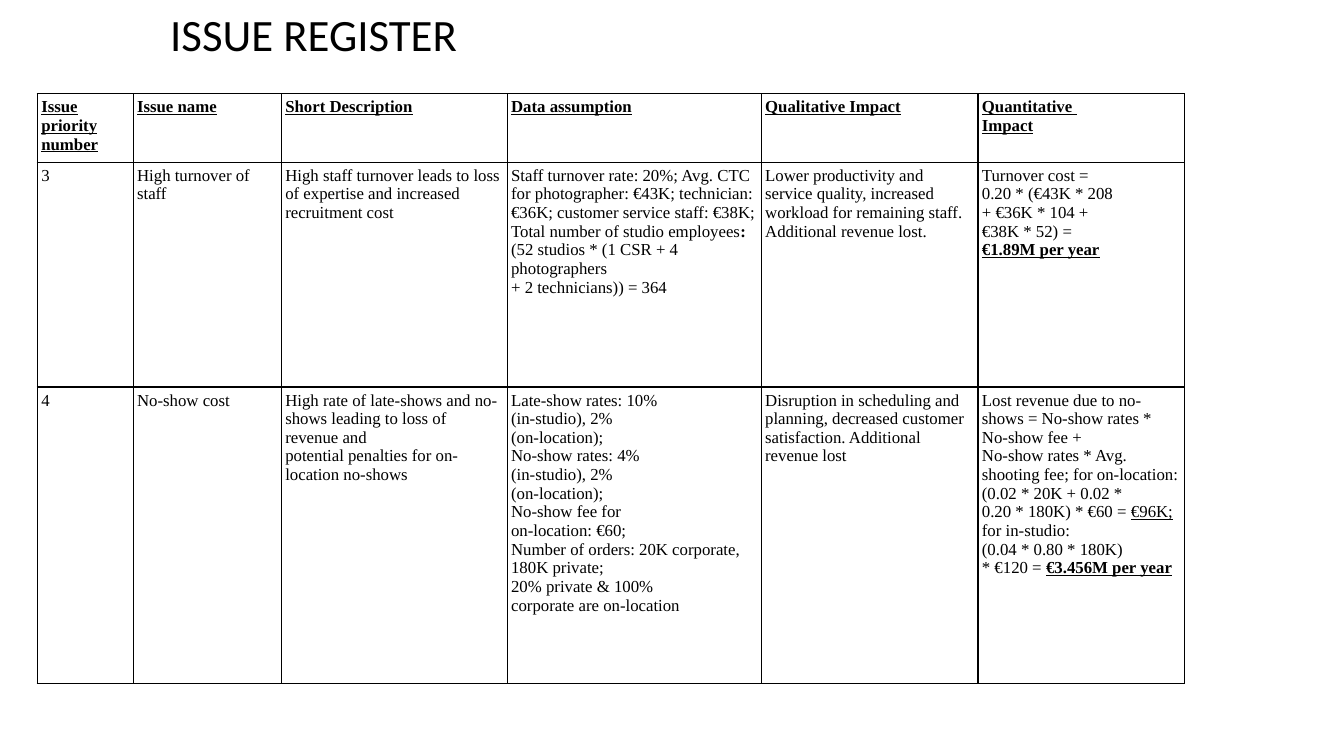
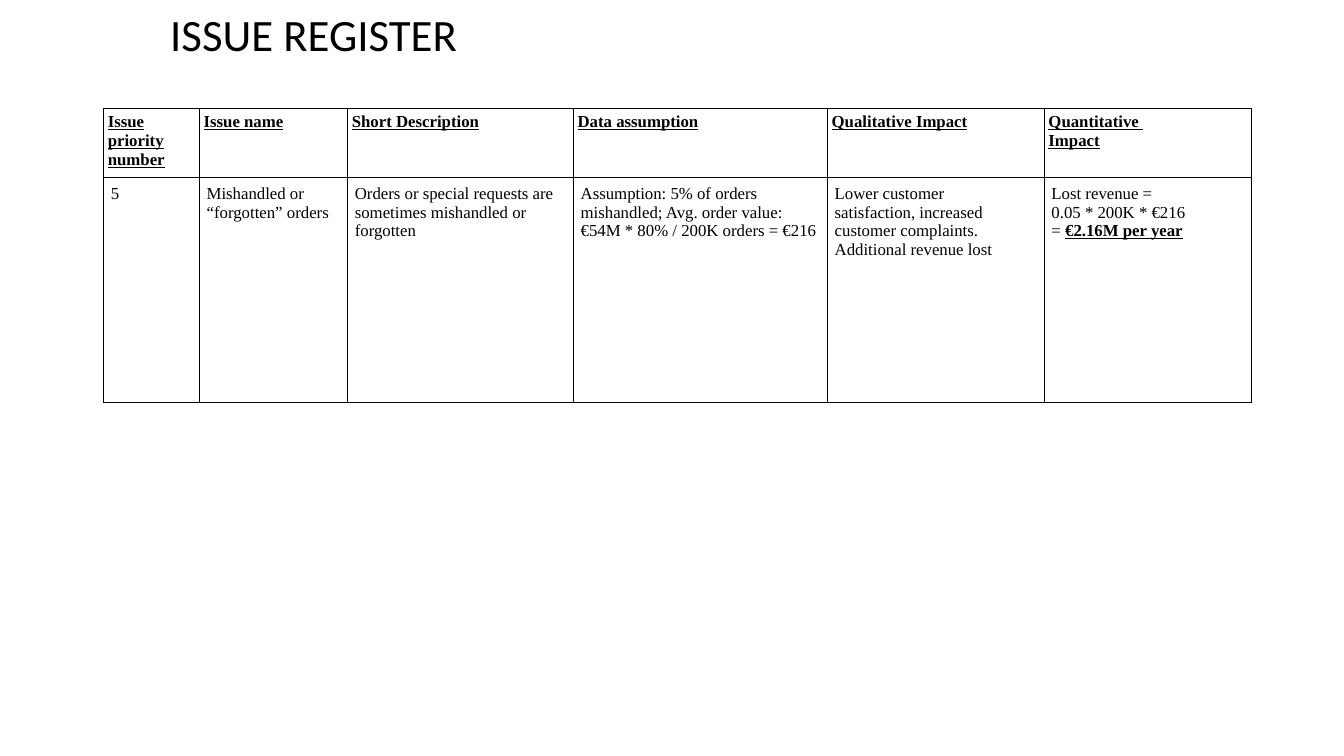
"""Build the two issue register slides."""
from pptx import Presentation
from pptx.dml.color import RGBColor
from pptx.oxml import parse_xml
from pptx.oxml.ns import nsdecls
from pptx.util import Inches, Pt

COLORS = {"ink": "000000", "paper": "FFFFFF"}
TITLE_FONT, TABLE_FONT = "Calibri", "Times New Roman"
TITLE = "ISSUE REGISTER"
COL_WIDTHS = [0.95, 1.47, 2.24, 2.52, 2.15, 2.05]
HEADER_HEIGHT = 0.64
HEADER_INSET = 0.04

HEADER = [
    ["Issue priority number"], ["Issue name"], ["Short Description"],
    ["Data assumption"], ["Qualitative Impact"], ["Quantitative ", "Impact"],
]

TURNOVER = [
    ["3"],
    ["High turnover of staff"],
    ["High staff turnover leads to loss of expertise and increased recruitment cost"],
    ["Staff turnover rate: 20%; Avg. CTC for photographer: €43K; technician: €36K; "
     "customer service staff: €38K;",
     [("Total number of studio employees", ""), (":", "b"),
      (" (52 studios * (1 CSR + 4 photographers", "")],
     "+ 2 technicians)) = 364"],
    ["Lower productivity and service quality, increased workload for remaining staff. "
     "Additional revenue lost."],
    ["Turnover cost =", "0.20 * (€43K * 208", "+ €36K * 104 +", "€38K * 52) =",
     [("€1.89M per year", "bu")]],
]

NO_SHOW = [
    ["4"],
    ["No-show cost"],
    ["High rate of late-shows and no-shows leading to loss of revenue and",
     "potential penalties for on-location no-shows"],
    ["Late-show rates: 10%", "(in-studio), 2%", "(on-location);",
     "No-show rates: 4%", "(in-studio), 2%", "(on-location);",
     "No-show fee for", "on-location: €60;",
     "Number of orders: 20K corporate, 180K private;",
     "20% private & 100%", "corporate are on-location"],
    ["Disruption in scheduling and planning, decreased customer satisfaction. "
     "Additional revenue lost"],
    ["Lost revenue due to no-shows = No-show rates *", "No-show fee +",
     "No-show rates * Avg. shooting fee; for on-location: (0.02 * 20K + 0.02 *",
     [("0.20 * 180K) * €60 = ", ""), ("€96K;", "u")],
     "for in-studio:", "(0.04 * 0.80 * 180K)",
     [("* €120 = ", ""), ("€3.456M per year", "bu")]],
]

MISHANDLED = [
    ["5"],
    ["Mishandled or “forgotten” orders"],
    ["Orders or special requests are sometimes mishandled or forgotten"],
    ["Assumption: 5% of orders mishandled; Avg. order value: "
     "€54M * 80% / 200K orders = €216"],
    ["Lower customer",
     "satisfaction, increased customer complaints. Additional revenue lost"],
    ["Lost revenue =", "0.05 * 200K * €216",
     [("= ", ""), ("€2.16M per year", "bu")]],
]

SLIDES = [
    {"left": 0.37, "top": 0.93, "inset": 0.04, "issues": [TURNOVER, NO_SHOW],
     "heights": [2.23, 2.94]},
    {"left": 1.03, "top": 1.08, "inset": 0.07, "issues": [MISHANDLED],
     "heights": [2.23]},
]


def write(tf, paragraphs, font=TABLE_FONT, size=12, style="", spacing=None):
    for i, parts in enumerate(paragraphs):
        p = tf.add_paragraph() if i else tf.paragraphs[0]
        if spacing:
            p.line_spacing = spacing
        for text, marks in [(parts, style)] if isinstance(parts, str) else parts:
            r = p.add_run()
            r.text = text
            r.font.name, r.font.size = font, Pt(size)
            r.font.bold, r.font.underline = "b" in marks, "u" in marks
            r.font.color.rgb = RGBColor.from_string(COLORS["ink"])


def add_borders(cell):
    tcPr = cell._tc.get_or_add_tcPr()
    for side in ("lnL", "lnR", "lnT", "lnB"):
        tcPr.append(parse_xml(
            f'<a:{side} {nsdecls("a")} w="{Pt(1)}"><a:solidFill>'
            f'<a:srgbClr val="{COLORS["ink"]}"/></a:solidFill></a:{side}>'))


def add_title(s):
    sp = s.shapes.add_textbox(Inches(1.59), Inches(0.08), Inches(10.5), Inches(1.15))
    sp.text_frame.word_wrap = True
    write(sp.text_frame, [TITLE], font=TITLE_FONT, size=32, spacing=0.9)


def add_register(s, left, top, inset, issues, heights):
    rows = [HEADER, *issues]
    row_heights = [HEADER_HEIGHT, *heights]
    table = s.shapes.add_table(
        len(rows), len(COL_WIDTHS), Inches(left), Inches(top),
        Inches(sum(COL_WIDTHS)), Inches(sum(row_heights))).table
    table.first_row = table.horz_banding = False
    for column, width in zip(table.columns, COL_WIDTHS):
        column.width = Inches(width)
    for i, (row, height) in enumerate(zip(rows, row_heights)):
        table.rows[i].height = Inches(height)
        margin = Inches(inset if i else HEADER_INSET)
        for j, paragraphs in enumerate(row):
            cell = table.cell(i, j)
            cell.margin_left = cell.margin_right = margin
            cell.margin_top = cell.margin_bottom = margin
            add_borders(cell)
            cell.fill.solid()
            cell.fill.fore_color.rgb = RGBColor.from_string(COLORS["paper"])
            write(cell.text_frame, paragraphs, style="" if i else "bu")


def main():
    prs = Presentation()
    prs.slide_width, prs.slide_height = Inches(13.33), Inches(7.5)
    for register in SLIDES:
        s = prs.slides.add_slide(prs.slide_layouts[6])
        add_title(s)
        add_register(s, **register)
    prs.save("out.pptx")


if __name__ == "__main__":
    main()
